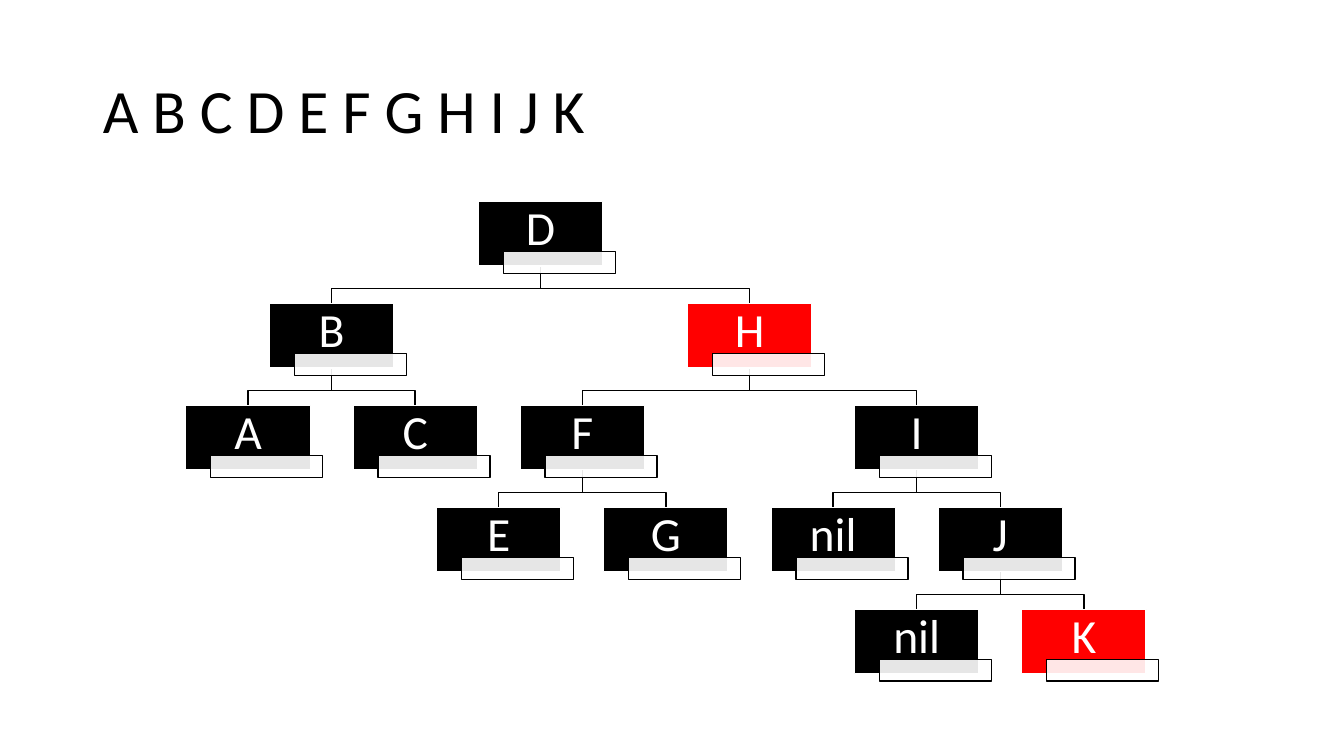
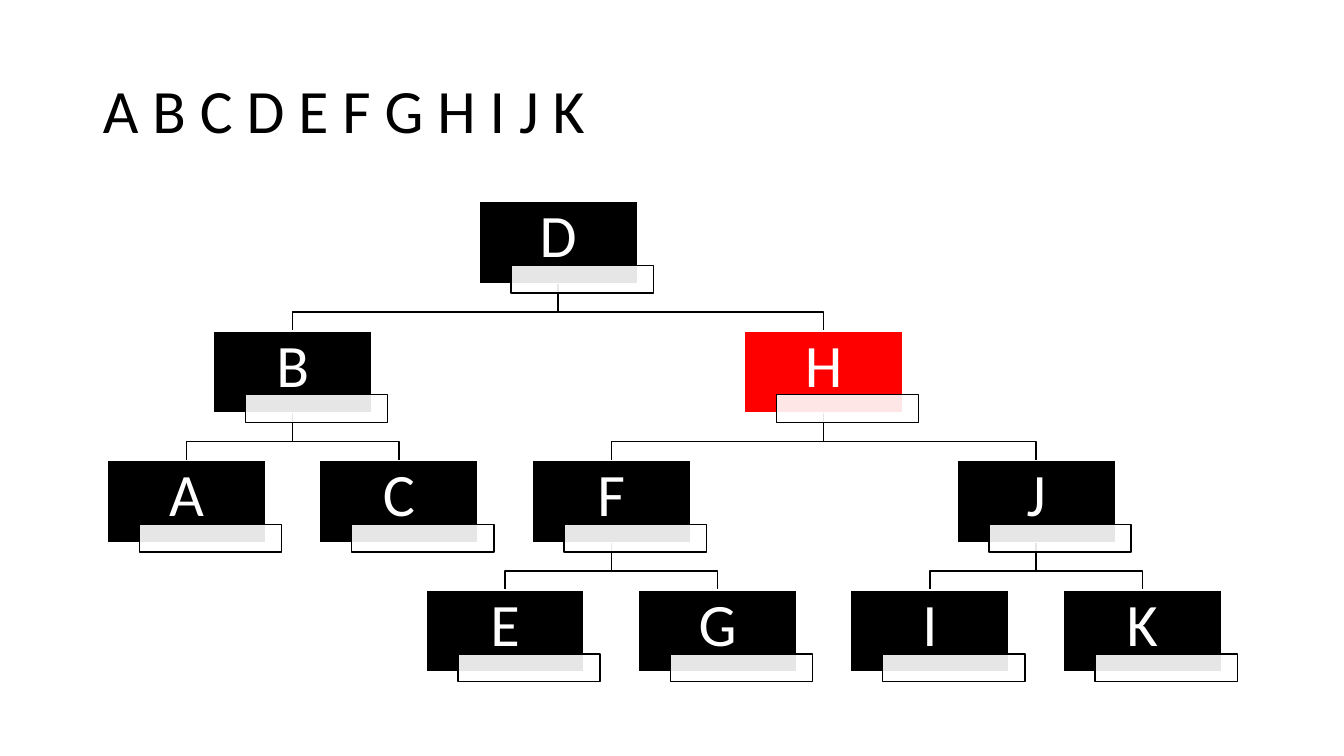
"""Build two slides that draw red-black trees over the letters A to K."""
from lxml.etree import SubElement
from pptx import Presentation
from pptx.dml.color import RGBColor
from pptx.enum.shapes import MSO_SHAPE as Preset
from pptx.enum.text import MSO_ANCHOR as Anchor, MSO_AUTO_SIZE as AutoSize, PP_ALIGN as Align
from pptx.oxml.ns import qn
from pptx.util import Inches, Pt

COLORS = {"black": "000000", "red": "FF0000", "white": "FFFFFF"}
FONT = "Calibri"
TREE_TOP = 2

# Each node: label, column, row, index of its parent, colour.
SHARED_NODES = [
    ("D", 3.5, 0, None, "black"),
    ("B", 1, 1, 0, "black"),
    ("A", 0, 2, 1, "black"),
    ("C", 2, 2, 1, "black"),
    ("H", 6, 1, 0, "red"),
    ("F", 4, 2, 4, "black"),
    ("E", 3, 3, 5, "black"),
    ("G", 5, 3, 5, "black"),
]
TREES = [
    {"left": 2.46, "right": 10.75, "last_column": 10, "nodes": SHARED_NODES + [
        ("I", 8, 2, 4, "black"),
        ("nil", 7, 3, 8, "black"),
        ("J", 9, 3, 8, "black"),
        ("nil", 8, 4, 10, "black"),
        ("K", 10, 4, 10, "red"),
    ]},
    {"left": 1.85, "right": 11.33, "last_column": 9, "nodes": SHARED_NODES + [
        ("J", 8, 2, 4, "black"),
        ("I", 7, 3, 8, "black"),
        ("K", 9, 3, 8, "black"),
    ]},
]

# Proportions of a node, in column widths.
BOX_WIDTH, BOX_HEIGHT, ROW_PITCH = 1.49, 0.77, 1.22
TAG_WIDTH, TAG_HEIGHT, TAG_DROP = 1.34, 0.26, 0.6
TAG_SHIFT, BEND_DROP = 0.3, 0.27
SIDE_INSET, BOTTOM_INSET, POINTS = 0.03, 0.11, 41


def paint_line(shape, color):
    """Give a shape a one-point outline and no shadow."""
    shape.shadow.inherit = False
    shape.line.color.rgb = RGBColor.from_string(COLORS[color])
    shape.line.width = Pt(1)


def add_box(slide, left, top, width, height, fill, line):
    """Add a filled rectangle measured in inches."""
    box = slide.shapes.add_shape(
        Preset.RECTANGLE, Inches(left), Inches(top), Inches(width), Inches(height))
    box.fill.solid()
    box.fill.fore_color.rgb = RGBColor.from_string(COLORS[fill])
    paint_line(box, line)
    return box


presentation = Presentation()
presentation.slide_width, presentation.slide_height = Inches(13.33), Inches(7.5)
layout = presentation.slide_layouts[5]
layout_title = layout.placeholders[0]
layout_title.left, layout_title.top = Inches(0.92), Inches(0.4)
layout_title.width, layout_title.height = Inches(11.5), Inches(1.45)

for tree in TREES:
    slide = presentation.slides.add_slide(layout)
    title = slide.shapes.title
    title.text = "A B C D E F G H I J K"
    title.text_frame.vertical_anchor = Anchor.MIDDLE
    title.text_frame.auto_size = AutoSize.NONE
    paragraph = title.text_frame.paragraphs[0]
    paragraph.alignment = Align.LEFT
    paragraph.line_spacing = 0.9
    paragraph.font.name, paragraph.font.size = FONT, Pt(44)
    paragraph.font.color.rgb = RGBColor.from_string(COLORS["black"])

    nodes = tree["nodes"]
    unit = (tree["right"] - tree["left"]) / tree["last_column"]
    centers = [tree["left"] + column * unit for _, column, *_ in nodes]
    tops = [TREE_TOP + row * ROW_PITCH * unit for _, _, row, *_ in nodes]

    for center, top, (*_, parent, _) in zip(centers, tops, nodes):
        if parent is None:
            continue
        start = tops[parent] + BOX_HEIGHT * unit
        bend = start + BEND_DROP * unit
        builder = slide.shapes.build_freeform(
            Inches(centers[parent]), Inches(start))
        builder.add_line_segments(
            [(Inches(x), Inches(y)) for x, y in
             ((centers[parent], bend), (center, bend), (center, top))], close=False)
        branch = builder.convert_to_shape()
        branch.fill.background()
        paint_line(branch, "black")

    for center, top, (label, *_, color) in zip(centers, tops, nodes):
        left = center - BOX_WIDTH * unit / 2
        box = add_box(slide, left, top, BOX_WIDTH * unit, BOX_HEIGHT * unit, color, "white")
        frame = box.text_frame
        frame.word_wrap = True
        frame.vertical_anchor = Anchor.MIDDLE
        frame.margin_left = frame.margin_right = frame.margin_top = Inches(SIDE_INSET * unit)
        frame.margin_bottom = Inches(BOTTOM_INSET * unit)
        frame.text = label
        paragraph = frame.paragraphs[0]
        paragraph.alignment = Align.CENTER
        paragraph.line_spacing = 0.9
        paragraph.font.name, paragraph.font.size = FONT, Pt(round(POINTS * unit))
        paragraph.font.color.rgb = RGBColor.from_string(COLORS["white"])

        tag = add_box(slide, left + TAG_SHIFT * unit, top + TAG_DROP * unit,
                      TAG_WIDTH * unit, TAG_HEIGHT * unit, "white", "black")
        tag_color = tag.fill._xPr.find(qn("a:solidFill"))[0]
        SubElement(tag_color, qn("a:alpha"), val="90000")

presentation.save("out.pptx")
